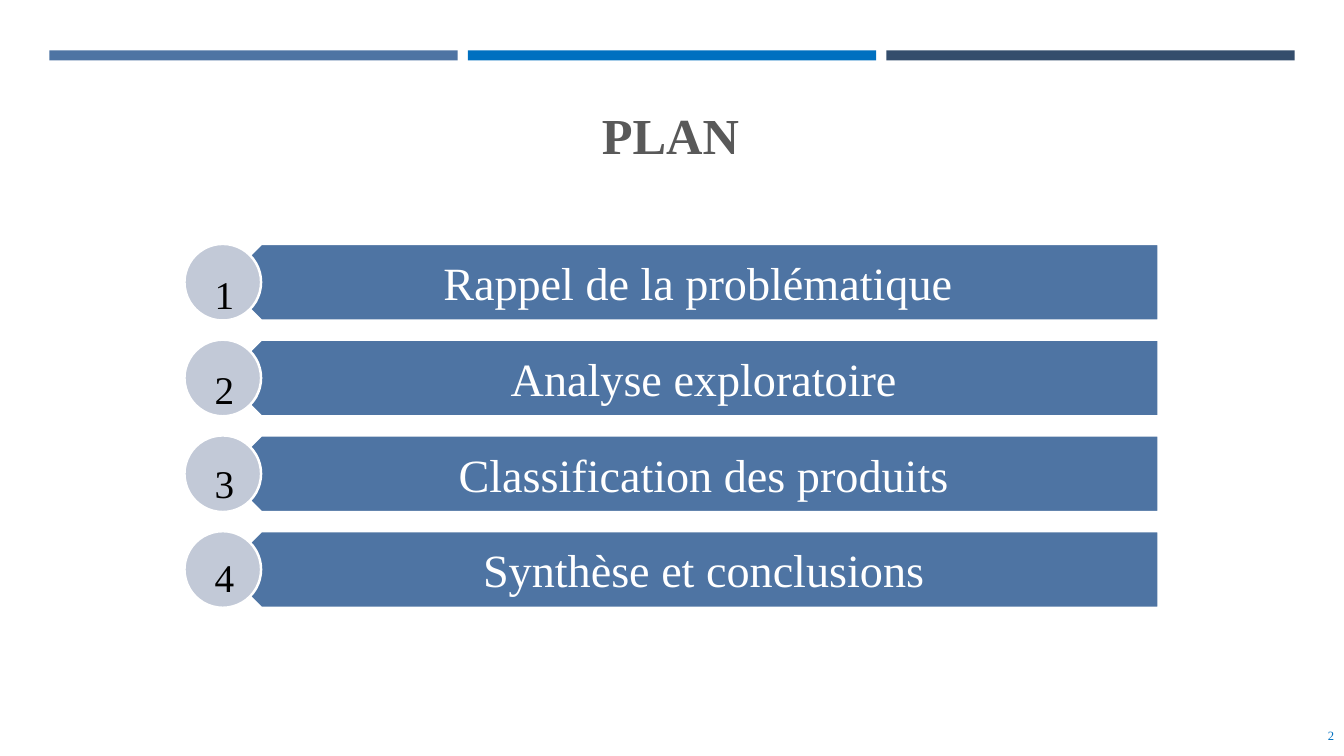
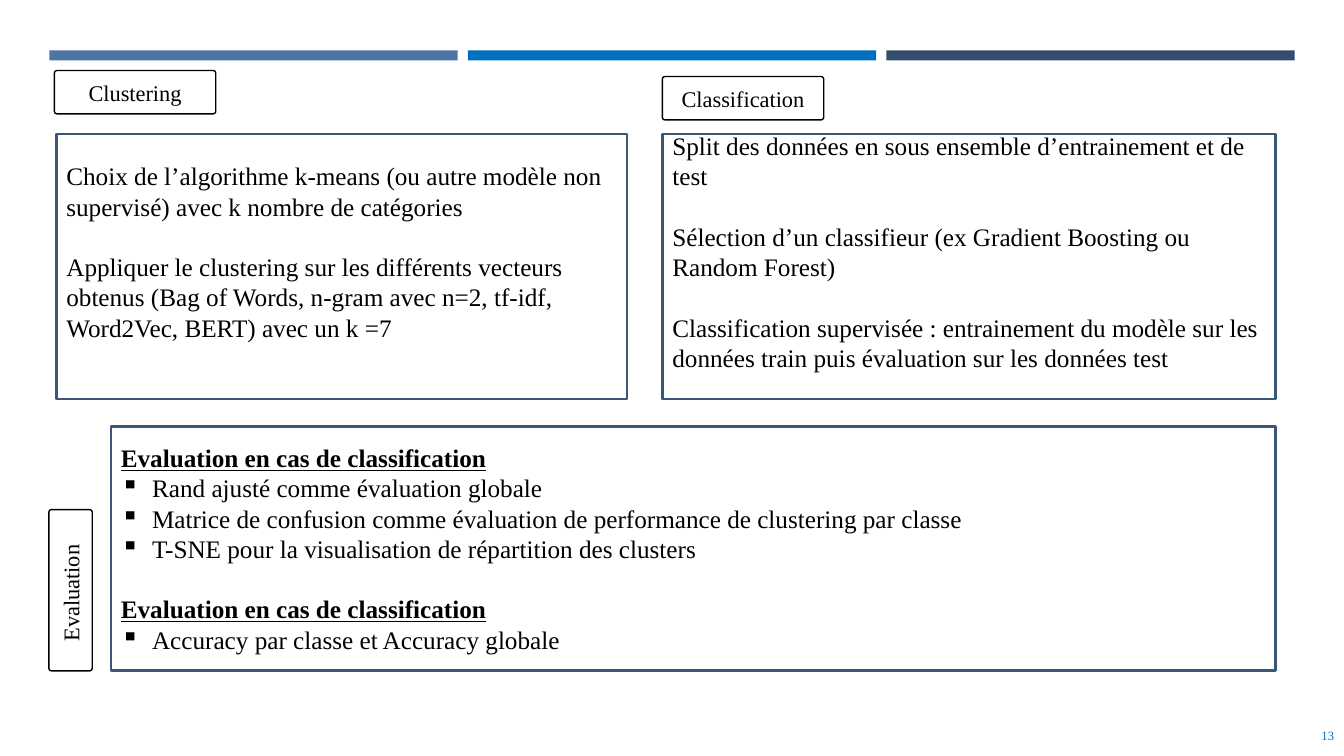
"""Builds two slides: the plan of the talk, and its clustering and classification method."""
from lxml import etree
from pptx import Presentation
from pptx.dml.color import RGBColor
from pptx.enum import shapes, text
from pptx.oxml import ns
from pptx.util import Inches, Pt

FONT = "Times New Roman"
STEEL = RGBColor(0x4E, 0x74, 0xA3)
BLUE = RGBColor(0x00, 0x70, 0xC0)
NAVY = RGBColor(0x34, 0x4D, 0x6C)
FRAME = RGBColor(0x3A, 0x56, 0x79)
PALE = RGBColor(0xC2, 0xC9, 0xD7)
GREY = RGBColor(0x59, 0x59, 0x59)
BLACK = RGBColor(0, 0, 0)
WHITE = RGBColor(0xFF, 0xFF, 0xFF)
LEFT, CENTER, RIGHT = text.PP_ALIGN.LEFT, text.PP_ALIGN.CENTER, text.PP_ALIGN.RIGHT
PRESET = shapes.MSO_SHAPE


def add_box(page, place, preset=None, fill=None, line=None, weight=1.75):
    """Add a preset shape, or a text box when no preset is given."""
    place = [Inches(length) for length in place]
    if preset is None:
        return page.shapes.add_textbox(*place)
    box = page.shapes.add_shape(preset, *place)
    box.shadow.inherit = False
    if fill is None:
        box.fill.background()
    else:
        box.fill.solid()
        box.fill.fore_color.rgb = fill
    if line is None:
        box.line.fill.background()
    else:
        box.line.color.rgb = line
        box.line.width = Pt(weight)
    return box


def write(box, lines, size, color=BLACK, align=LEFT, anchor=text.MSO_ANCHOR.MIDDLE):
    """Fill a box with paragraphs in the deck font and return them."""
    frame = box.text_frame
    frame.text = "\n".join(lines)
    frame.word_wrap = True
    frame.vertical_anchor = anchor
    for para in frame.paragraphs:
        para.alignment = align
        for span in para.runs:
            span.font.name = FONT
            span.font.size = Pt(size)
            span.font.color.rgb = color
    return frame.paragraphs


deck = Presentation()
deck.slide_width, deck.slide_height = Inches(13.33), Inches(7.5)

pages = []
for number in ("2", "13"):
    page = deck.slides.add_slide(deck.slide_layouts[6])
    for index, color in enumerate((STEEL, BLUE, NAVY)):
        add_box(page, (0.49 + 4.15 * index, 0.5, 4.05, 0.1), PRESET.RECTANGLE, color)
    write(add_box(page, (12.18, 7.1, 1.15, 0.4)), [number], 9, BLUE, RIGHT)
    pages.append(page)
plan, method = pages

title = write(add_box(plan, (0.64, 0.98, 12.02, 0.75)), ["PLAN"], 36, GREY, CENTER,
              text.MSO_ANCHOR.TOP)
title[0].runs[0].font.bold = True

steps = [
    "Rappel de la problématique ",
    "Analyse exploratoire",
    "Classification des produits",
    "Synthèse et conclusions",
]
for index, step in enumerate(steps):
    top = 2.42 + 0.95 * index
    banner = add_box(plan, (2.21, top, 9.28, 0.76), PRESET.PENTAGON, STEEL, WHITE)
    banner.rotation = 180
    label = add_box(plan, (2.4, top, 9.09, 0.76))
    label.text_frame.margin_left = Inches(0.33)
    label.text_frame.margin_right = Inches(0.26)
    label.text_frame.margin_top = label.text_frame.margin_bottom = 0
    write(label, [step], 33, WHITE, CENTER)
    add_box(plan, (1.83, top, 0.76, 0.76), PRESET.OVAL, PALE, WHITE)

numbers = add_box(plan, (2.03, 2.17, 0.39, 3.75))
for para in write(numbers, ["1", "2", "3", "4"], 28, anchor=text.MSO_ANCHOR.TOP):
    para.line_spacing = 2.0
numbers.text_frame.word_wrap = False

tags = [
    ("Clustering", 0.54, 0.7, 0),
    ("Evaluation ", -0.1, 5.64, 270),
    ("Classification", 6.57, 0.76, 0),
]
for name, left, top, angle in tags:
    tag = add_box(method, (left, top, 1.6, 0.43), PRESET.ROUNDED_RECTANGLE, None, BLACK, 1)
    tag.adjustments[0] = 0.06
    tag.rotation = angle
    write(tag, [name], 16, align=CENTER)

GAP = Pt(21.6)
panels = [
    (0.56, 5.66, [
        "Choix de l’algorithme k-means (ou autre modèle non supervisé) avec k nombre de catégories",
        "Appliquer le clustering sur les différents vecteurs obtenus (Bag of Words, n-gram avec n=2, "
        "tf-idf, Word2Vec, BERT) avec un k =7",
    ]),
    (6.57, 6.08, [
        "Split des données en sous ensemble d’entrainement et de test",
        "Sélection d’un classifieur (ex Gradient Boosting ou Random Forest)",
        "Classification supervisée : entrainement du modèle sur les données train puis évaluation "
        "sur les données test",
    ]),
]
for left, width, lines in panels:
    panel = add_box(method, (left, 1.33, width, 2.63), PRESET.RECTANGLE, None, FRAME)
    panel.text_frame.margin_bottom = Inches(0.35)
    for para in write(panel, lines, 18)[1:]:
        para.space_before = GAP

HEADING = "Evaluation en cas de classification"
criteria = [
    HEADING,
    "Rand ajusté comme évaluation globale",
    "Matrice de confusion comme évaluation de performance de clustering par classe",
    "T-SNE pour la visualisation de répartition des clusters",
    HEADING,
    "Accuracy par classe et Accuracy globale",
]
panel = add_box(method, (1.1, 4.23, 11.55, 2.42), PRESET.RECTANGLE, None, FRAME)
for index, para in enumerate(write(panel, criteria, 18)):
    if para.text == HEADING:
        para.runs[0].font.bold = para.runs[0].font.underline = True
        if index:
            para.space_before = GAP
    else:
        properties = para._p.get_or_add_pPr()
        properties.set("marL", str(Inches(0.31)))
        properties.set("indent", str(-Inches(0.31)))
        etree.SubElement(properties, ns.qn("a:buChar"), char="▪")

deck.save("out.pptx")
